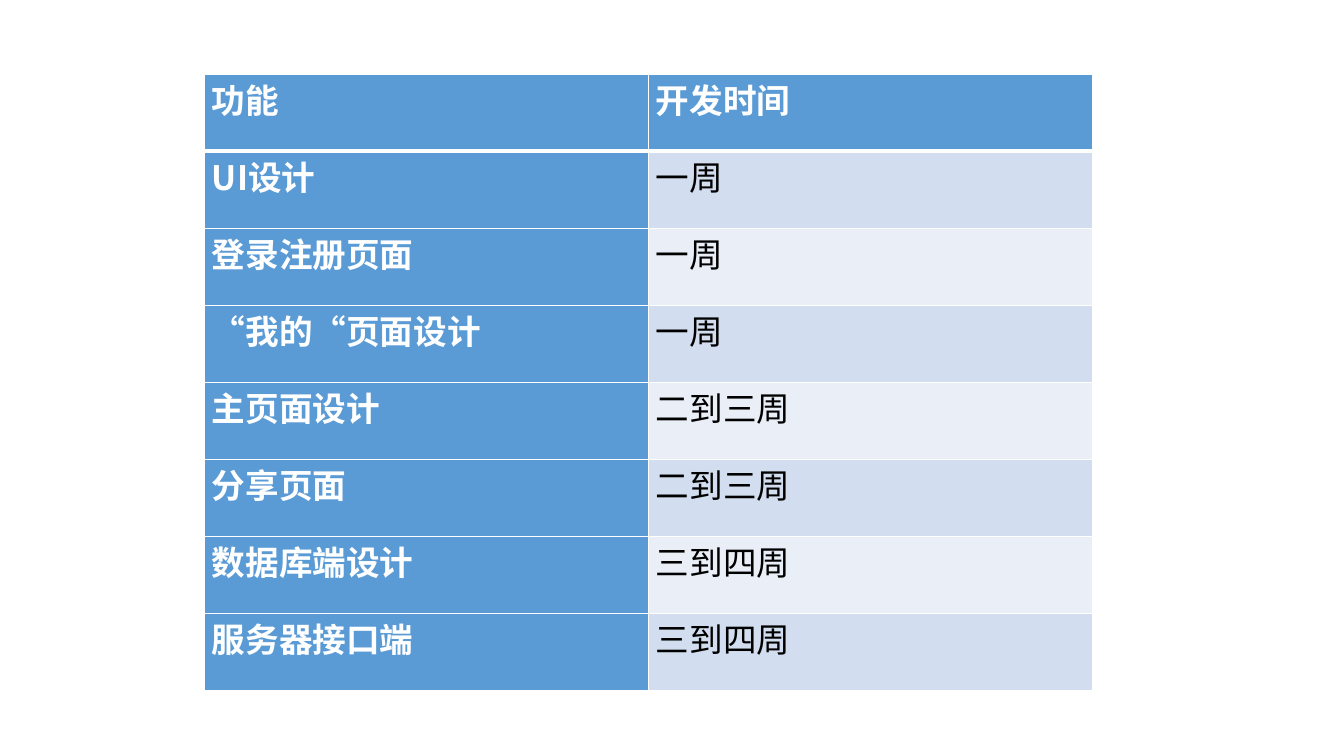
"""Build a slide with a table of features and their development times."""
from lxml.etree import SubElement
from pptx import Presentation
from pptx.dml.color import RGBColor
from pptx.enum.text import PP_ALIGN
from pptx.oxml.ns import qn
from pptx.util import Cm, Pt

SCHEDULE = [
    ("功能", "开发时间"),
    ("UI设计", "一周"),
    ("登录注册页面", "一周"),
    ("“我的“页面设计", "一周"),
    ("主页面设计", "二到三周"),
    ("分享页面", "二到三周"),
    ("数据库端设计", "三到四周"),
    ("服务器接口端", "三到四周"),
]

FONT = "Noto Sans CJK SC"
WHITE = RGBColor(0xFF, 0xFF, 0xFF)
BLACK = RGBColor(0x00, 0x00, 0x00)
BLUE = RGBColor(0x5B, 0x9B, 0xD5)
BANDS = [RGBColor(0xEA, 0xEF, 0xF7), RGBColor(0xD2, 0xDE, 0xEF)]

LEFT, TOP = Cm(5.16), Cm(1.87)
COLUMN_WIDTH, ROW_HEIGHT = Cm(11.19), Cm(1.94)
THIN, THICK = Pt(1), Pt(3)


def set_borders(cell, row):
    """Draw white cell borders, with a thick rule under the header."""
    properties = cell._tc.get_or_add_tcPr()
    widths = {
        "a:lnL": THIN,
        "a:lnR": THIN,
        "a:lnT": THICK if row == 1 else THIN,
        "a:lnB": THICK if row == 0 else THIN,
    }
    for side, width in widths.items():
        line = SubElement(properties, qn(side), w=str(width))
        fill = SubElement(line, qn("a:solidFill"))
        SubElement(fill, qn("a:srgbClr"), val=str(WHITE))


def fill_cell(cell, text, row, column):
    """Write and format one cell of the schedule."""
    heading = row == 0 or column == 0
    set_borders(cell, row)
    cell.fill.solid()
    cell.fill.fore_color.rgb = BLUE if heading else BANDS[row % 2]
    cell.margin_left = cell.margin_right = Cm(0.18)
    cell.margin_top = cell.margin_bottom = 0

    para = cell.text_frame.paragraphs[0]
    para.text = text
    para.alignment = PP_ALIGN.JUSTIFY
    span = para.runs[0]
    span.font.size = Pt(24)
    span.font.bold = heading
    span.font.color.rgb = WHITE if heading else BLACK
    span.font.name = FONT
    run_properties = span._r.get_or_add_rPr()
    run_properties.set("lang", "zh-CN")
    SubElement(run_properties, qn("a:ea"), typeface=FONT)


def main():
    """Create the deck and save it."""
    deck = Presentation()
    deck.slide_width, deck.slide_height = Cm(33.87), Cm(19.05)
    page = deck.slides.add_slide(deck.slide_layouts[6])
    rows, columns = len(SCHEDULE), len(SCHEDULE[0])
    table = page.shapes.add_table(
        rows, columns, LEFT, TOP, COLUMN_WIDTH * columns, ROW_HEIGHT * rows
    ).table
    for column in table.columns:
        column.width = COLUMN_WIDTH
    for row, texts in enumerate(SCHEDULE):
        table.rows[row].height = ROW_HEIGHT
        for column, text in enumerate(texts):
            fill_cell(table.cell(row, column), text, row, column)
    deck.save("out.pptx")


if __name__ == "__main__":
    main()
